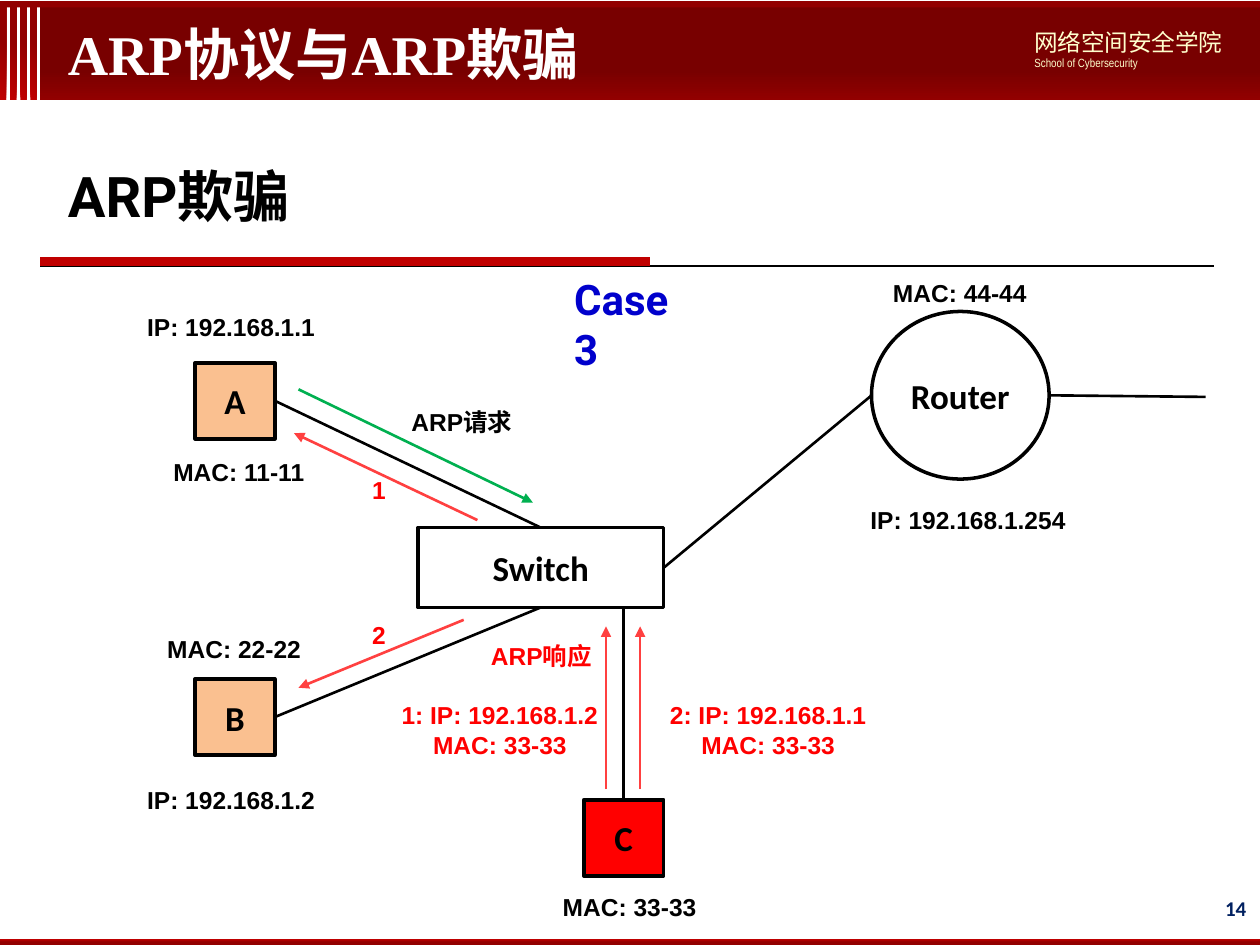
import dataclasses
import lxml.etree
import pptx
import pptx.dml.color
import pptx.enum.dml
import pptx.enum.shapes
import pptx.enum.text
import pptx.oxml.ns
import pptx.util

Pt = pptx.util.Pt
qn = pptx.oxml.ns.qn
Align = pptx.enum.text.PP_ALIGN
Anchor = pptx.enum.text.MSO_ANCHOR
Shape = pptx.enum.shapes.MSO_SHAPE


@dataclasses.dataclass(frozen=True)
class Theme:
    black: str = "000000"
    white: str = "FFFFFF"
    cream: str = "FFFFCD"
    navy: str = "002060"
    blue: str = "0000CC"
    red: str = "FF0000"
    reply: str = "FF4040"
    request: str = "00B050"
    host: str = "FAC090"
    accent: str = "C00000"
    maroon: str = "920000"
    dark: str = "780000"
    title_size: float = 32
    case_size: float = 24
    node_size: float = 20
    label_size: float = 14
    school_size: float = 13.5
    number_size: float = 12
    small_size: float = 6.8
    line_width: float = 1.5
    outline_width: float = 2
    cjk_font: str = "Noto Sans CJK SC"


def rgb(value):
    return pptx.dml.color.RGBColor.from_string(value)


def apply(target, values):
    for name, value in values.items():
        setattr(target, name, value)


class Painter:
    def __init__(self, slide, theme):
        self.slide = slide
        self.theme = theme

    def fill_frame(self, frame, lines, color, size, font="Arial", bold=True,
                   align=Align.LEFT, anchor=Anchor.TOP):
        apply(frame, {"word_wrap": True, "vertical_anchor": anchor})
        for index, line in enumerate(lines):
            para = frame.paragraphs[0] if index == 0 else frame.add_paragraph()
            para.alignment = align
            span = para.add_run()
            span.text = line
            apply(span.font, {"size": Pt(size), "bold": bold, "name": font})
            span.font.color.rgb = rgb(color)
            latin = span.font._element.find(qn("a:latin"))
            east_asian = lxml.etree.Element(qn("a:ea"), typeface=self.theme.cjk_font)
            latin.addnext(east_asian)

    def text(self, area, lines, color, size, **style):
        box = self.slide.shapes.add_textbox(*map(Pt, area))
        self.fill_frame(box.text_frame, lines, color, size, **style)
        return box

    def label(self, area, *lines, color=None, align=Align.CENTER):
        theme = self.theme
        self.text(area, lines, color or theme.black, theme.label_size, align=align)

    def shape(self, area, fill=None, kind=Shape.RECTANGLE):
        shape = self.slide.shapes.add_shape(kind, *map(Pt, area))
        shape.shadow.inherit = False
        shape.line.fill.background()
        if fill:
            shape.fill.solid()
            shape.fill.fore_color.rgb = rgb(fill)
        else:
            shape.fill.background()
        return shape

    def gradient(self, area, stops, angle):
        fill = self.shape(area).fill
        fill.gradient()
        fill.gradient_angle = angle
        for stop, (position, color) in zip(fill.gradient_stops, stops):
            stop.position = position
            stop.color.rgb = rgb(color)

    def node(self, area, name, fill=None, kind=Shape.RECTANGLE):
        theme = self.theme
        shape = self.shape(area, fill, kind)
        shape.line.color.rgb = rgb(theme.black)
        shape.line.width = Pt(theme.outline_width)
        self.fill_frame(shape.text_frame, [name], theme.black, theme.node_size,
                        font="Calibri", align=Align.CENTER, anchor=Anchor.MIDDLE)

    def line(self, ends, color=None, arrow=False):
        connector = self.slide.shapes.add_connector(
            pptx.enum.shapes.MSO_CONNECTOR.STRAIGHT, *map(Pt, ends))
        connector.line.color.rgb = rgb(color or self.theme.black)
        connector.line.width = Pt(self.theme.line_width)
        properties = connector._element.spPr
        if arrow:
            outline = properties.find(qn("a:ln"))
            lxml.etree.SubElement(outline, qn("a:tailEnd"), type="triangle")
        lxml.etree.SubElement(properties, qn("a:effectLst"))


def draw_frame(painter):
    theme = painter.theme
    for index in range(4):
        painter.gradient((5.8 * index, 3.6, 3.6, 53.4),
                         [(0, theme.accent), (0.62, theme.maroon)], 45)
    painter.gradient((23, 4, 697, 53.4), [(0, theme.maroon), (0.32, theme.dark)], 90)
    painter.gradient((0, 536.4, 720, 3.6), [(0.1, theme.accent), (0.54, theme.maroon)], 270)
    painter.shape((0, 0.7, 720, 3.6), theme.maroon)
    number = painter.text((549.4, 504.7, 167.8, 28.8), ["14"], theme.navy,
                          theme.number_size, font="Calibri",
                          align=Align.RIGHT, anchor=Anchor.MIDDLE)
    apply(number.text_frame, {"margin_left": Pt(5), "margin_right": Pt(5),
                              "margin_top": Pt(3), "margin_bottom": Pt(3)})
    school = painter.text((584, 12.2, 130.3, 31.7),
                          ["网络空间安全学院", "School of Cybersecurity"],
                          theme.cream, theme.school_size, font=theme.cjk_font, bold=False)
    english = school.text_frame.paragraphs[1].runs[0].font
    apply(english, {"name": "Arial Narrow", "size": Pt(theme.small_size)})
    painter.line((23, 152, 694, 152))
    painter.shape((23, 147, 348.5, 5), theme.accent)
    painter.text((31.7, 3.6, 487.4, 53.4), ["ARP协议与ARP欺骗"], theme.white,
                 theme.title_size, font="Times New Roman", anchor=Anchor.MIDDLE)
    painter.text((31.7, 88.6, 661.7, 54), ["ARP欺骗"], theme.black,
                 theme.title_size, font="Roboto")


def draw_network(painter):
    theme = painter.theme
    hosts = [("A", 111.5, 207.3, theme.host), ("B", 111.5, 388, theme.host),
             ("C", 333.6, 457, theme.red)]
    for name, left, top, fill in hosts:
        painter.node((left, top, 45.6, 43.5), name, fill)
    painter.node((238.9, 301.4, 140.3, 45.8), "Switch")
    painter.node((498, 178, 101.5, 95.8), "Router", kind=Shape.OVAL)

    links = [(157, 229, 308.8, 301.4), (157, 409.8, 308.8, 347.2),
             (379.2, 324.5, 498, 226), (356.4, 457, 356.4, 347.2),
             (599.3, 225.9, 689, 226.8)]
    for ends in links:
        painter.line(ends)

    painter.line((170.6, 222.5, 304.5, 287.2), theme.request, arrow=True)
    replies = [(365.8, 451, 365.8, 358), (346.3, 451, 346.3, 358),
               (272.8, 297.2, 168, 247.5), (265, 354.2, 170.6, 393)]
    for ends in replies:
        painter.line(ends, theme.reply, arrow=True)


def draw_labels(painter):
    theme = painter.theme
    height = 24.2
    addresses = [("IP: 192.168.1.1", 77, 175, 113.8),
                 ("IP: 192.168.1.2", 77, 445, 113.8),
                 ("IP: 192.168.1.254", 490.3, 285, 131)]
    for address, left, top, width in addresses:
        painter.label((left, top, width, height), address, align=Align.LEFT)

    names = [("MAC: 11-11", 89.7, 257.8), ("MAC: 22-22", 87, 358.6),
             ("MAC: 33-33", 313, 506.2), ("MAC: 44-44", 501.7, 155.5),
             ("ARP请求", 217.2, 229)]
    for name, left, top in names:
        painter.label((left, top, 93.6, height), name)

    painter.label((264.6, 363, 89.6, height), "ARP响应", color=theme.red)
    for address, left in [("1: IP: 192.168.1.2", 220.2), ("2: IP: 192.168.1.1", 373.5)]:
        painter.label((left, 396.7, 131, 41), address, "MAC: 33-33", color=theme.red)
    for step, top in [("1", 268), ("2", 350.8)]:
        painter.label((205.5, top, 21, height), step, color=theme.red)
    painter.text((321, 152.6, 83.5, 36), ["Case 3"], theme.blue,
                 theme.case_size, font="Roboto")


def main():
    deck = pptx.Presentation()
    deck.slide_width, deck.slide_height = Pt(720), Pt(540)
    page = deck.slides.add_slide(deck.slide_layouts[6])
    painter = Painter(page, Theme())
    draw_frame(painter)
    draw_network(painter)
    draw_labels(painter)
    deck.save("out.pptx")


if __name__ == "__main__":
    main()
